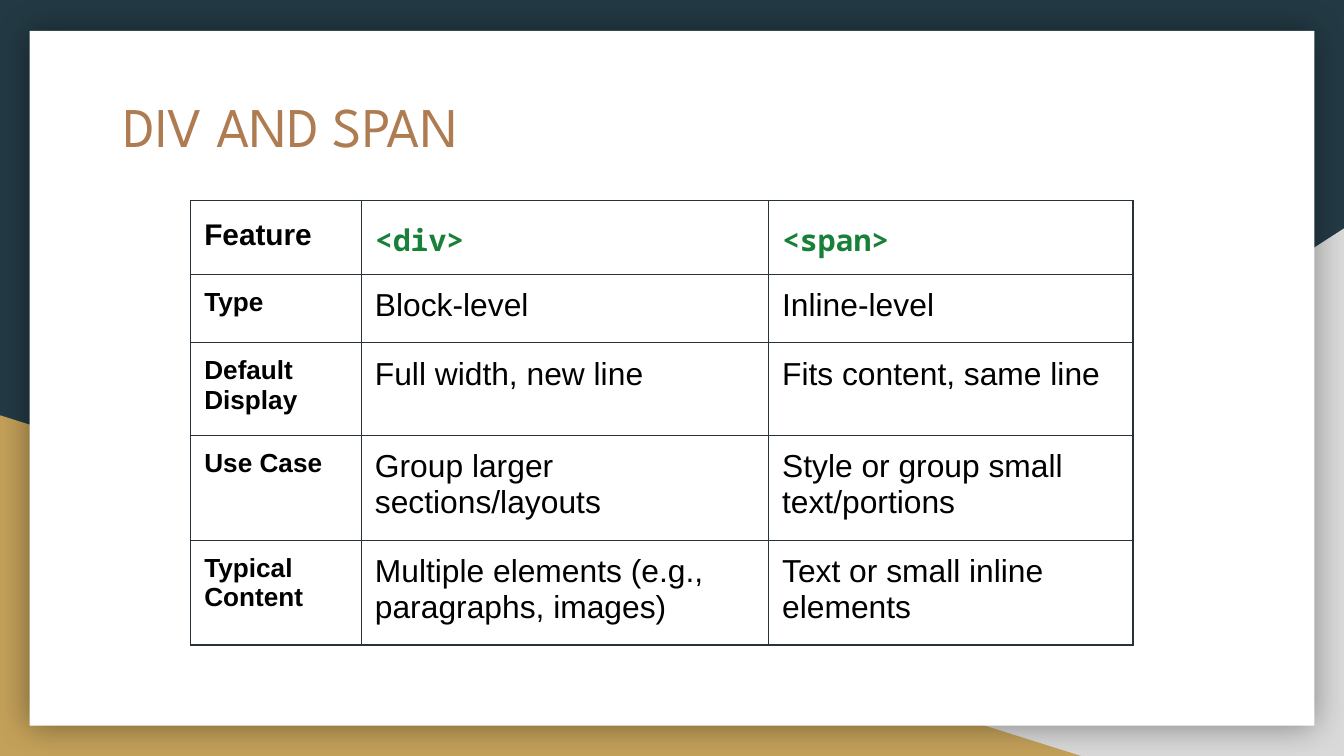
from lxml import etree
from pptx import Presentation
from pptx.dml.color import RGBColor
from pptx.enum.shapes import MSO_SHAPE
from pptx.enum.text import MSO_ANCHOR
from pptx.oxml import parse_xml
from pptx.oxml.ns import nsdecls, qn
from pptx.util import Inches, Pt

TRIANGLE = MSO_SHAPE.RIGHT_TRIANGLE
RECTANGLE = MSO_SHAPE.RECTANGLE
TOP = MSO_ANCHOR.TOP

NAVY = RGBColor(0x23, 0x3A, 0x44)
GRAY = RGBColor(0xD9, 0xD9, 0xD9)
GOLD = RGBColor(0xC4, 0xA1, 0x5A)
WHITE = RGBColor(0xFF, 0xFF, 0xFF)
BLACK = RGBColor(0x00, 0x00, 0x00)
BROWN = RGBColor(0xAF, 0x7B, 0x51)
GREEN = RGBColor(0x18, 0x80, 0x38)
BORDER = RGBColor(0x27, 0x32, 0x39)

TITLE = "DIV AND SPAN"
ROWS = [
    ("Feature", "<div>", "<span>"),
    ("Type", "Block-level", "Inline-level"),
    ("Default Display", "Full width, new line", "Fits content, same line"),
    ("Use Case", "Group larger sections/layouts", "Style or group small text/portions"),
    ("Typical Content", "Multiple elements (e.g., paragraphs, images)",
     "Text or small inline elements"),
]
COLUMN_WIDTHS = [1.27, 3.03, 2.71]
ROW_HEIGHTS = [0.55, 0.51, 0.69, 0.78, 0.78]

# Size, font, colour, bold
TITLE_STYLE = (30, "League Spartan", BROWN, False)
HEADER_STYLE = (16, "Arial", BLACK, True)
TAG_STYLE = (16, "Noto Sans Mono", GREEN, True)
LABEL_STYLE = (14, "Arial", BLACK, True)
BODY_STYLE = (17, "Arial", BLACK, False)


def add_plain_shape(slide, kind, box, color):
    shape = slide.shapes.add_shape(kind, *map(Inches, box))
    shape.shadow.inherit = False
    shape.fill.solid()
    shape.fill.fore_color.rgb = color
    shape.line.fill.background()
    return shape


def add_glow_shadow(shape):
    """Give the shape a soft, centred black shadow."""
    effects = shape._element.spPr.find(qn("a:effectLst"))
    effects.append(parse_xml(
        f'<a:outerShdw {nsdecls("a")} blurRad="{Pt(18)}" dist="0" algn="ctr" rotWithShape="0">'
        '<a:srgbClr val="000000"><a:alpha val="40000"/></a:srgbClr></a:outerShdw>'))


def write(paragraph, text, style):
    run = paragraph.add_run()
    run.text = text
    size, run.font.name, color, run.font.bold = style
    run.font.size = Pt(size)
    run.font.color.rgb = color


def set_margins(holder):
    holder.margin_left = holder.margin_right = Inches(0.1)
    holder.margin_top = holder.margin_bottom = Inches(0.1)
    holder.vertical_anchor = TOP


def set_borders(cell):
    properties = cell._tc.get_or_add_tcPr()
    for index, side in enumerate(("lnL", "lnR", "lnT", "lnB")):
        line = etree.Element(qn(f"a:{side}"), w=str(Pt(0.75)))
        fill = etree.SubElement(line, qn("a:solidFill"))
        etree.SubElement(fill, qn("a:srgbClr"), val=str(BORDER))
        properties.insert(index, line)


def cell_style(row, column):
    if row == 0:
        return TAG_STYLE if column else HEADER_STYLE
    return BODY_STYLE if column else LABEL_STYLE


def add_comparison_table(slide, left, top):
    frame = slide.shapes.add_table(
        len(ROWS), len(COLUMN_WIDTHS), Inches(left), Inches(top),
        Inches(sum(COLUMN_WIDTHS)), Inches(sum(ROW_HEIGHTS)))
    table = frame.table
    table.first_row = table.horz_banding = False
    for column, width in zip(table.columns, COLUMN_WIDTHS):
        column.width = Inches(width)
    for row, height in zip(table.rows, ROW_HEIGHTS):
        row.height = Inches(height)
    for r, texts in enumerate(ROWS):
        for c, text in enumerate(texts):
            cell = table.cell(r, c)
            set_margins(cell)
            cell.fill.background()
            set_borders(cell)
            paragraph = cell.text_frame.paragraphs[0]
            if r == 0:
                paragraph.line_spacing = 1.15
            write(paragraph, text, cell_style(r, c))


presentation = Presentation()
presentation.slide_width = Inches(10)
presentation.slide_height = Inches(10 * 9 / 16)
slide = presentation.slides.add_slide(presentation.slide_layouts[6])
slide.background.fill.solid()
slide.background.fill.fore_color.rgb = NAVY

gray_corner = add_plain_shape(slide, TRIANGLE, (3.92, 1.7, 6.08, 3.93), GRAY)
gray_corner._element.spPr.find(qn("a:xfrm")).set("flipH", "1")
add_plain_shape(slide, TRIANGLE, (0, 3.09, 8.06, 2.54), GOLD)
card = add_plain_shape(slide, RECTANGLE, (0.22, 0.23, 9.56, 5.17), WHITE)
add_glow_shadow(card)

title = slide.shapes.add_textbox(*map(Inches, (0.82, 0.58, 8.21, 1.04)))
title.text_frame.word_wrap = True
set_margins(title.text_frame)
write(title.text_frame.paragraphs[0], TITLE, TITLE_STYLE)

add_comparison_table(slide, 1.42, 1.49)

presentation.save("out.pptx")
